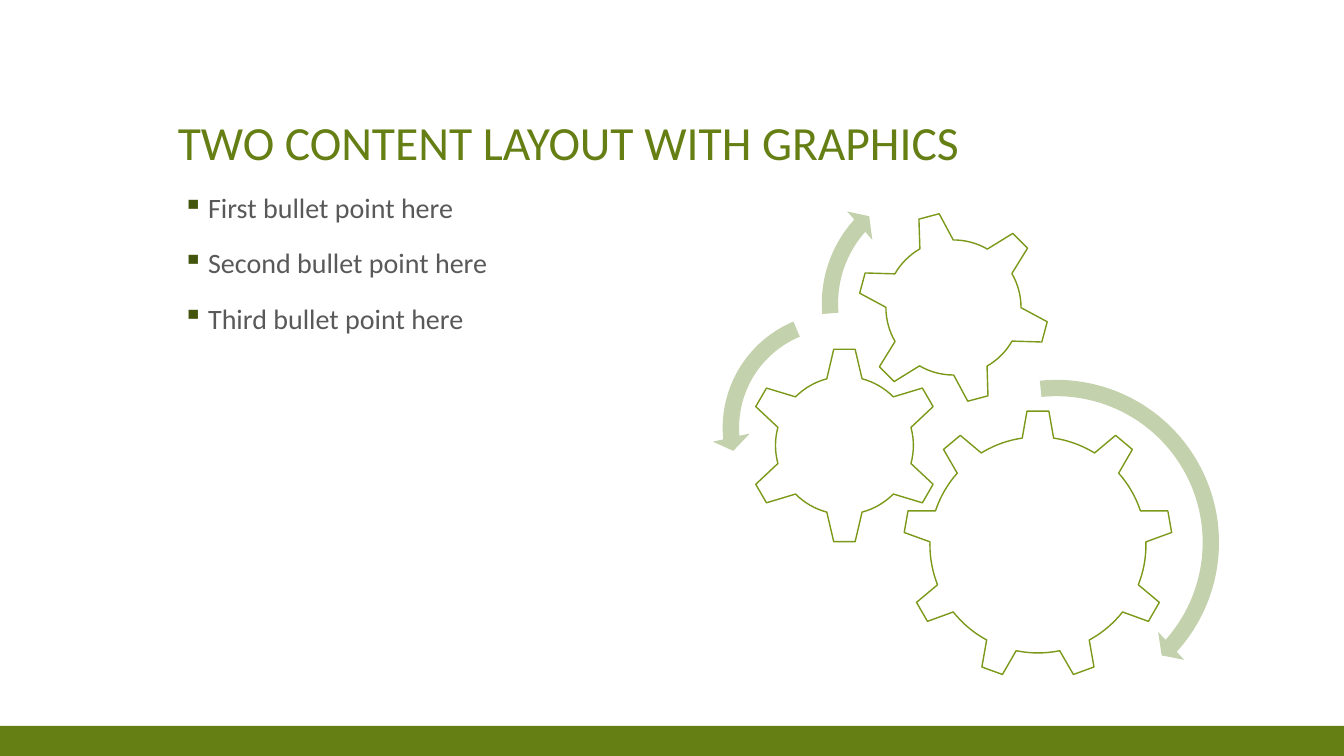
from lxml import etree
from pptx import Presentation
from pptx.dml.color import RGBColor
from pptx.enum.shapes import MSO_SHAPE
from pptx.enum.text import MSO_ANCHOR
from pptx.oxml.ns import qn
from pptx.util import Emu, Pt

RECTANGLE = MSO_SHAPE.RECTANGLE
GEAR_6 = MSO_SHAPE.GEAR_6
GEAR_9 = MSO_SHAPE.GEAR_9
ARC = MSO_SHAPE.CIRCULAR_ARROW
LEFT_ARC = MSO_SHAPE.LEFT_CIRCULAR_ARROW
TOP, BOTTOM = MSO_ANCHOR.TOP, MSO_ANCHOR.BOTTOM

FONT = "Calibri"
GREEN, DARK_GREEN, GEAR_LINE = "657F14", "43540D", "7B9919"
SAGE, GREY, WHITE = "C3D1AC", "595959", "FFFFFF"
WIDTH, HEIGHT = 1344, 756
FOOTER_HEIGHT = 30

TITLE = ["TWO CONTENT LAYOUT WITH GRAPHICS"]
BULLETS = [
    "First bullet point here",
    "Second bullet point here",
    "Third bullet point here",
]
GEARS = [
    (GEAR_9, 903, 410, 270, 0),
    (GEAR_6, 746, 347, 197, 0),
    (GEAR_6, 857, 211, 193, 345),
]
ARROWS = [
    (ARC, 883, 369, 347, (0.047, 2.99, 25.222, 158.482, 0.055)),
    (LEFT_ARC, 712, 302, 252, (0.065, 4.3, 104.891, 148.378, 0.075)),
    (ARC, 811, 168, 271, (0.06, 3.941, 133.138, 105.082, 0.07)),
]


def px(length):
    return Emu(round(length * 914400 / 100.8))


def color(value):
    return RGBColor.from_string(value)


def add_bullet(para, symbol, tint):
    properties = para._p.get_or_add_pPr()
    properties.set("marL", str(Pt(21.6)))
    properties.set("indent", str(-Pt(18)))
    bullet_color = etree.SubElement(properties, qn("a:buClr"))
    etree.SubElement(bullet_color, qn("a:srgbClr")).set("val", tint)
    etree.SubElement(properties, qn("a:buChar")).set("char", symbol)


def add_text(page, lines, left, top, width, height, *, size, tint,
             anchor=TOP, before=0, bullet=None):
    box = page.shapes.add_textbox(px(left), px(top), px(width), px(height))
    frame = box.text_frame
    frame.word_wrap = True
    frame.vertical_anchor = anchor
    for index, line in enumerate(lines):
        para = frame.add_paragraph() if index else frame.paragraphs[0]
        para.line_spacing = 0.9
        para.space_before = Pt(before)
        if bullet:
            add_bullet(para, bullet, DARK_GREEN)
        span = para.add_run()
        span.text = line
        span.font.name = FONT
        span.font.size = Pt(size)
        span.font.color.rgb = color(tint)


def add_figure(shapes, kind, left, top, width, height, fill, line=None):
    figure = shapes.add_shape(kind, px(left), px(top), px(width), px(height))
    figure.shadow.inherit = False
    figure.fill.solid()
    figure.fill.fore_color.rgb = color(fill)
    if line:
        figure.line.color.rgb = color(line)
        figure.line.width = Pt(1)
    else:
        figure.line.fill.background()
    return figure


def main():
    deck = Presentation()
    deck.slide_width, deck.slide_height = px(WIDTH), px(HEIGHT)
    page = deck.slides.add_slide(deck.slide_layouts[6])

    add_figure(page.shapes, RECTANGLE, 0, HEIGHT - FOOTER_HEIGHT,
               WIDTH, FOOTER_HEIGHT, GREEN)
    add_text(page, TITLE, 168, 50, 1008, 126,
             size=34, tint=GREEN, anchor=BOTTOM)
    add_text(page, BULLETS, 168, 189, 496, 492,
             size=20, tint=GREY, before=18, bullet="▪")

    diagram = page.shapes.add_group_shape()
    for kind, left, top, side, rotation in GEARS:
        gear = add_figure(diagram.shapes, kind, left, top, side, side,
                          WHITE, GEAR_LINE)
        gear.rotation = rotation
    for kind, left, top, side, adjustments in ARROWS:
        arrow = add_figure(diagram.shapes, kind, left, top, side, side, SAGE)
        for index, value in enumerate(adjustments):
            arrow.adjustments[index] = value

    deck.save("out.pptx")


if __name__ == "__main__":
    main()
